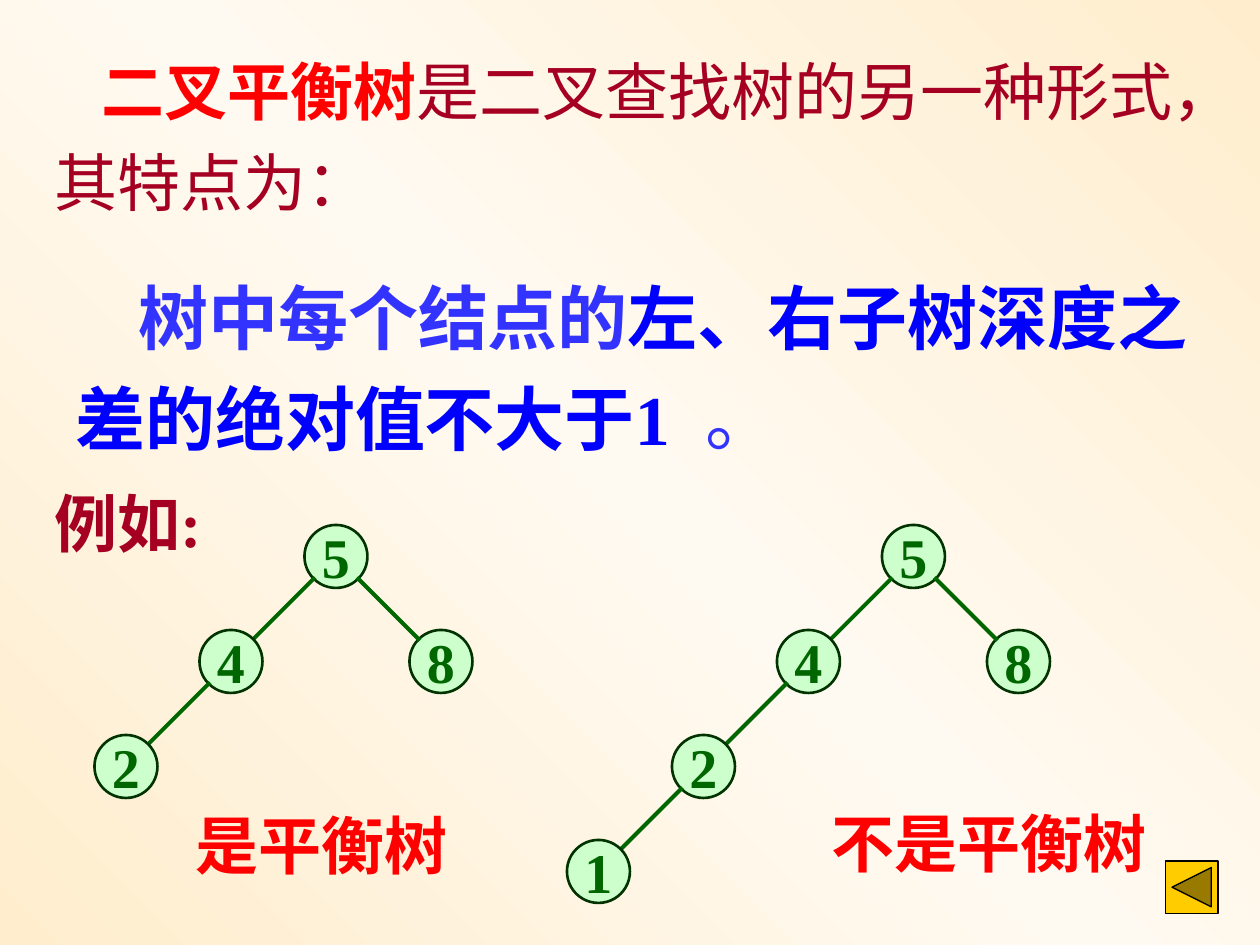
import copy

import pptx
import pptx.dml.color
import pptx.enum.shapes
import pptx.enum.text
import pptx.oxml
import pptx.oxml.ns
import pptx.util

RGBColor = pptx.dml.color.RGBColor
SHAPES = pptx.enum.shapes.MSO_SHAPE
qn = pptx.oxml.ns.qn

EMU_PER_PX = 7620  # 120 px to the inch
FONT = "Times New Roman"

SAND = RGBColor(0xFF, 0xED, 0xCD)
CREAM = RGBColor(0xFF, 0xFA, 0xF1)
RED = RGBColor(0xFF, 0x00, 0x00)
MAROON = RGBColor(0xA5, 0x00, 0x21)
SOFT_BLUE = RGBColor(0x33, 0x33, 0xFF)
BLUE = RGBColor(0x00, 0x00, 0xFF)
LIGHT_GREEN = RGBColor(0xCC, 0xFF, 0xCC)
DARK_GREEN = RGBColor(0x00, 0x33, 0x00)
GREEN = RGBColor(0x00, 0x66, 0x00)
GOLD = RGBColor(0xFF, 0xCC, 0x00)
BLACK = RGBColor(0x00, 0x00, 0x00)

NODE_SIZE = 60
STEP = 100  # from a parent to its child, both across and down
EDGE_INSET = 20  # from a node's centre to the end of its edge


def px(length):
    return pptx.util.Emu(length * EMU_PER_PX)


def paint_background(slide):
    fill = slide.background.fill
    fill.gradient()
    fill.gradient_angle = 45
    stop_list = slide.element.find(".//" + qn("a:gsLst"))
    stop_list.append(copy.deepcopy(stop_list[-1]))
    colors = [SAND, CREAM, SAND]
    for stop, position, color in zip(fill.gradient_stops, (0, 0.5, 1), colors):
        stop.position = position
        stop.color.rgb = color


def add_run(paragraph, text, size, color, bold=True):
    run = paragraph.add_run()
    run.text = text
    run.font.name = FONT
    run.font.size = pptx.util.Pt(size)
    run.font.bold = bold
    run.font.color.rgb = color


def add_text(slide, box, size, runs, wrap=False, indent=0, tab=0):
    shape = slide.shapes.add_textbox(*map(px, box))
    frame = shape.text_frame
    frame.word_wrap = wrap
    frame.auto_size = pptx.enum.text.MSO_AUTO_SIZE.SHAPE_TO_FIT_TEXT
    paragraph = frame.paragraphs[0]
    if wrap:
        paragraph.line_spacing = 1.2
    properties = paragraph._p.get_or_add_pPr()
    if indent:
        properties.set("marL", "0")
        properties.set("indent", str(px(indent)))
    if tab:
        tabs = pptx.oxml.parse_xml(
            f'<a:tabLst {pptx.oxml.ns.nsdecls("a")}>'
            f'<a:tab pos="{px(tab)}" algn="l"/></a:tabLst>'
        )
        properties.append(tabs)
    for text, color, bold in runs:
        add_run(paragraph, text, size, color, bold)


def add_shape(slide, kind, box, fill, line, width):
    shape = slide.shapes.add_shape(kind, *map(px, box))
    shape.shadow.inherit = False
    shape.fill.solid()
    shape.fill.fore_color.rgb = fill
    shape.line.color.rgb = line
    shape.line.width = pptx.util.Pt(width)
    return shape


def add_node(slide, label, x, y):
    box = (x - NODE_SIZE // 2, y - NODE_SIZE // 2, NODE_SIZE, NODE_SIZE)
    shape = add_shape(slide, SHAPES.OVAL, box, LIGHT_GREEN, DARK_GREEN, 1.5)
    frame = shape.text_frame
    frame.word_wrap = False
    frame.vertical_anchor = pptx.enum.text.MSO_ANCHOR.MIDDLE
    paragraph = frame.paragraphs[0]
    paragraph.alignment = pptx.enum.text.PP_ALIGN.CENTER
    add_run(paragraph, label, 32, GREEN)


def add_edge(slide, x, y, side):
    """Join the node at (x, y) to its left (-1) or right (1) child."""
    far = STEP - EDGE_INSET
    connector = slide.shapes.add_connector(
        pptx.enum.shapes.MSO_CONNECTOR.STRAIGHT,
        px(x + side * EDGE_INSET), px(y + EDGE_INSET),
        px(x + side * far), px(y + far),
    )
    connector.line.color.rgb = GREEN
    connector.line.width = pptx.util.Pt(2.25)
    connector._element.spPr.append(
        pptx.oxml.parse_xml(f'<a:effectLst {pptx.oxml.ns.nsdecls("a")}/>')
    )


def add_tree(slide, x, y, left_chain, right_child):
    """Draw a root whose left side is a chain and whose right side is one node."""
    for level, label in enumerate(left_chain):
        node_x, node_y = x - level * STEP, y + level * STEP
        add_node(slide, label, node_x, node_y)
        if level < len(left_chain) - 1:
            add_edge(slide, node_x, node_y, -1)
    add_node(slide, right_child, x + STEP, y + STEP)
    add_edge(slide, x, y, 1)


def main():
    presentation = pptx.Presentation()
    presentation.slide_width = px(1200)
    presentation.slide_height = px(900)
    slide = presentation.slides.add_slide(presentation.slide_layouts[6])
    paint_background(slide)

    # Definition
    add_text(slide, (40, 30, 1140, 194), 36, [
        ("二叉平衡树", RED, True),
        ("是二叉查找树的另一种形式，其特点为：", MAROON, False),
    ], wrap=True, indent=45)
    add_text(slide, (60, 240, 1090, 204), 40, [
        ("树中每个结点的", SOFT_BLUE, True),
        ("左、右子树深度之差的绝对值不大于1", BLUE, True),
        ("\t。", SOFT_BLUE, False),
    ], wrap=True, indent=60, tab=912)

    # Example trees
    add_text(slide, (40, 456, 166, 84), 36, [("例如:", MAROON, True)])
    add_tree(slide, 320, 530, "542", "8")
    add_tree(slide, 870, 530, "5421", "8")
    add_text(slide, (174, 762, 266, 84), 36, [("是平衡树", RED, True)])
    add_text(slide, (780, 760, 326, 84), 36, [("不是平衡树", RED, True)])

    # Back button
    add_shape(slide, SHAPES.ACTION_BUTTON_BACK_OR_PREVIOUS,
              (1110, 820, 50, 50), GOLD, BLACK, 0.75)

    presentation.save("out.pptx")


if __name__ == "__main__":
    main()
